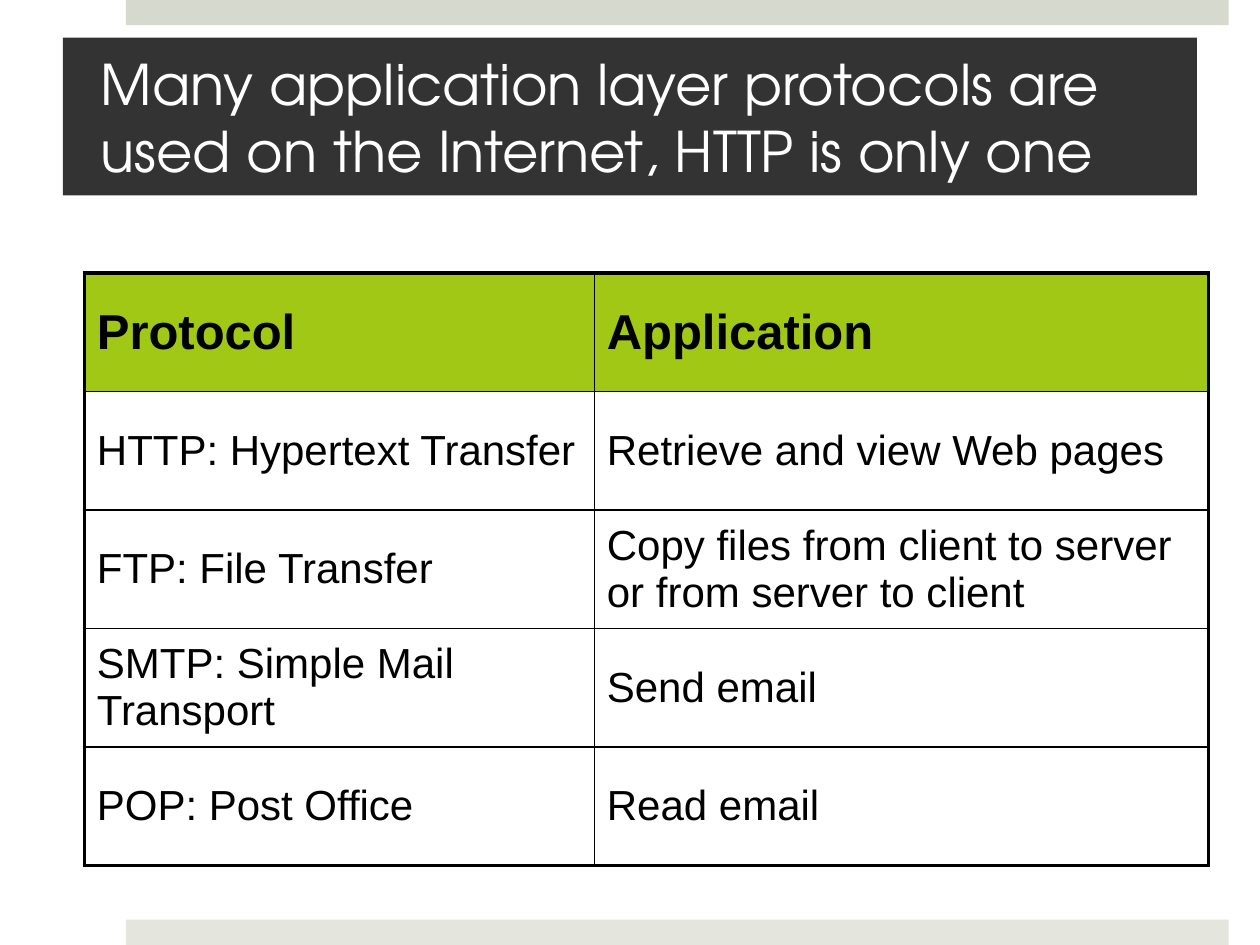
from lxml import etree
from pptx import Presentation
from pptx.dml.color import RGBColor
from pptx.enum.shapes import MSO_SHAPE
from pptx.enum.text import MSO_ANCHOR, PP_ALIGN
from pptx.oxml.ns import qn
from pptx.util import Cm, Pt

RECTANGLE = MSO_SHAPE.RECTANGLE
MIDDLE = MSO_ANCHOR.MIDDLE
LEFT = PP_ALIGN.LEFT

WHITE = RGBColor(0xFF, 0xFF, 0xFF)
BLACK = RGBColor(0x00, 0x00, 0x00)
CHARCOAL = RGBColor(0x33, 0x33, 0x33)
GREEN = RGBColor(0xA2, 0xC8, 0x16)
TOP_BAND = RGBColor(0xD6, 0xD9, 0xCD)
BOTTOM_BAND = RGBColor(0xE4, 0xE6, 0xDE)

THIN, THICK = Pt(1), Pt(2.25)

PROTOCOLS = [
    ("Protocol", "Application"),
    ("HTTP: Hypertext Transfer", "Retrieve and view Web pages"),
    ("FTP: File Transfer", "Copy files from client to server or from server to client"),
    ("SMTP: Simple Mail Transport", "Send email"),
    ("POP: Post Office", "Read email"),
]


class SlideBuilder:
    """Draws styled elements on the current slide."""

    title_font = "TeX Gyre Adventor"
    table_font = "Arial"

    def __init__(self, slide):
        self.slide = slide

    def style(self, paragraph, name, size, color, bold=False):
        paragraph.alignment = LEFT
        font = paragraph.font
        font.name, font.size, font.bold = name, Pt(size), bold
        font.color.rgb = color

    def band(self, left, top, width, height, color):
        shape = self.slide.shapes.add_shape(
            RECTANGLE, Cm(left), Cm(top), Cm(width), Cm(height))
        shape.shadow.inherit = False
        shape.fill.solid()
        shape.fill.fore_color.rgb = color
        shape.line.fill.background()
        return shape

    def title(self, text, left, top, width, height):
        frame = self.band(left, top, width, height, CHARCOAL).text_frame
        frame.word_wrap = True
        frame.vertical_anchor = MIDDLE
        frame.margin_left = frame.margin_right = Cm(0.76)
        frame.text = text
        self.style(frame.paragraphs[0], self.title_font, 32, WHITE)

    def borders(self, cell, widths):
        properties = cell._tc.get_or_add_tcPr()
        for index, (side, width) in enumerate(widths.items()):
            line = etree.Element(qn(f"a:ln{side}"), w=str(width))
            fill = etree.SubElement(line, qn("a:solidFill"))
            etree.SubElement(fill, qn("a:srgbClr"), val=str(BLACK))
            properties.insert(index, line)

    def table(self, rows, left, top, column_widths, row_height):
        last_row, last_column = len(rows) - 1, len(column_widths) - 1
        table = self.slide.shapes.add_table(
            len(rows), len(column_widths), Cm(left), Cm(top),
            Cm(sum(column_widths)), Cm(row_height * len(rows))).table
        for column, width in zip(table.columns, column_widths):
            column.width = Cm(width)
        for r, texts in enumerate(rows):
            table.rows[r].height = Cm(row_height)
            header = r == 0
            for c, text in enumerate(texts):
                cell = table.cell(r, c)
                cell.text = text
                cell.vertical_anchor = MIDDLE
                self.style(cell.text_frame.paragraphs[0], self.table_font,
                           28 if header else 24, BLACK, header)
                if header:
                    cell.fill.solid()
                    cell.fill.fore_color.rgb = GREEN
                else:
                    cell.fill.background()
                self.borders(cell, {
                    "L": THICK if c == 0 else THIN,
                    "R": THICK if c == last_column else THIN,
                    "T": THICK if header else THIN,
                    "B": THICK if r == last_row else THIN,
                })


def main():
    presentation = Presentation()
    presentation.slide_width, presentation.slide_height = Cm(25.4), Cm(19.05)
    builder = SlideBuilder(presentation.slides.add_slide(presentation.slide_layouts[6]))
    builder.band(2.54, 0, 22.23, 0.51, TOP_BAND)
    builder.band(2.54, 18.54, 22.23, 0.51, BOTTOM_BAND)
    builder.title("Many application layer protocols are used on the Internet, HTTP is only one",
                  1.27, 0.76, 22.86, 3.18)
    builder.table(PROTOCOLS, 1.7, 5.5, (10.28, 12.38), 2.39)
    presentation.save("out.pptx")


if __name__ == "__main__":
    main()
